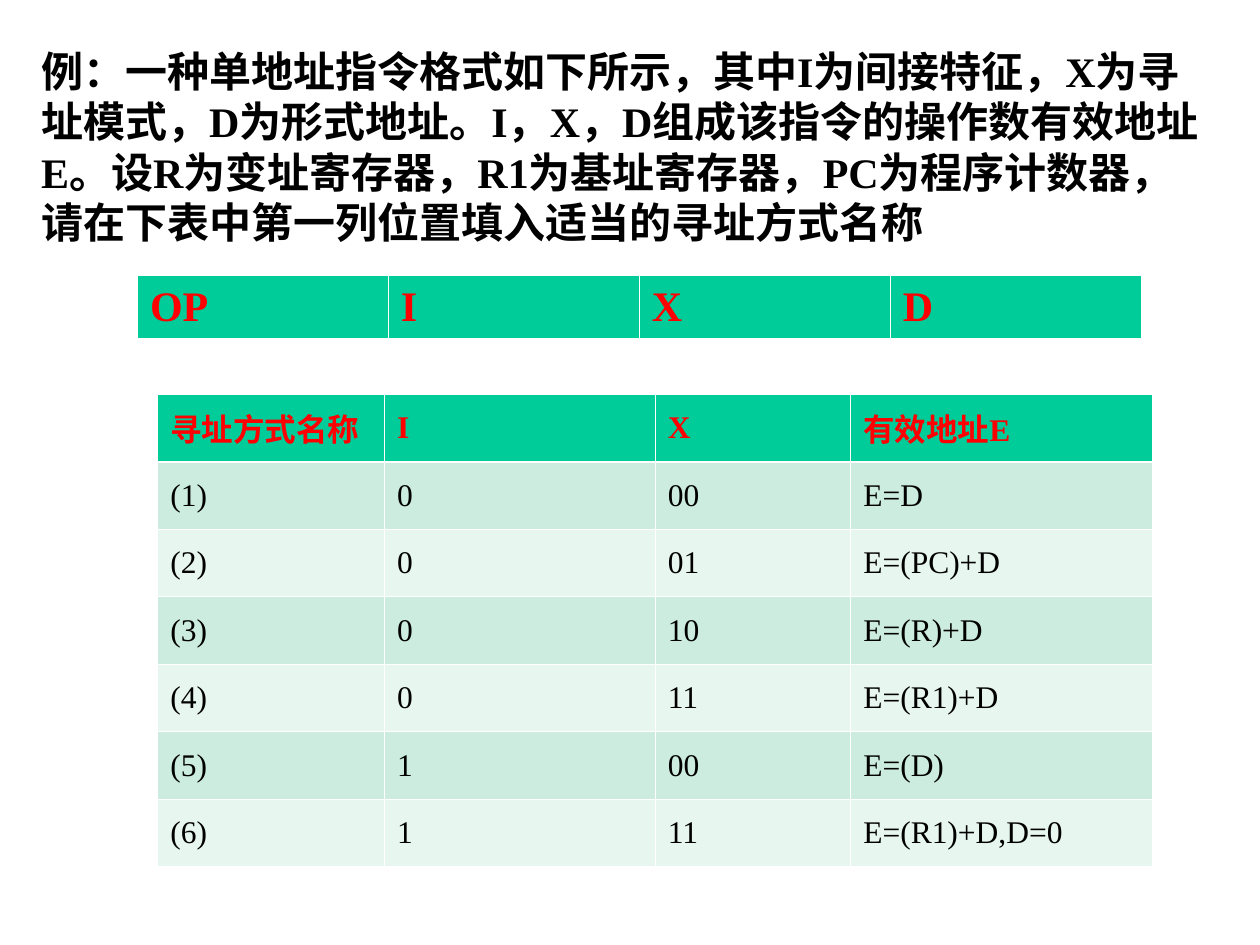
"""Build a slide on the addressing modes of a one-address instruction."""
from lxml import etree
from pptx import Presentation
from pptx.dml.color import RGBColor
from pptx.enum.text import MSO_ANCHOR
from pptx.oxml.ns import qn
from pptx.util import Cm, Pt

MIDDLE = MSO_ANCHOR.MIDDLE
BLACK = RGBColor(0x00, 0x00, 0x00)
WHITE = RGBColor(0xFF, 0xFF, 0xFF)
RED = RGBColor(0xFF, 0x00, 0x00)
GREEN = RGBColor(0x00, 0xCC, 0x99)
MINT = RGBColor(0xCB, 0xEC, 0xDE)
PALE = RGBColor(0xE7, 0xF6, 0xEF)
FONT = "Times New Roman"
THIN, THICK = Pt(0.45), Pt(1.47)

TASK = (
    "例：一种单地址指令格式如下所示，其中I为间接特征，X为寻址模式，D为形式地址。"
    "I，X，D组成该指令的操作数有效地址E。设R为变址寄存器，R1为基址寄存器，"
    "PC为程序计数器，请在下表中第一列位置填入适当的寻址方式名称"
)
FORMAT = [("OP", "I", "X", "D")]
MODES = [
    ("寻址方式名称", "I", "X", "有效地址E"),
    ("(1)", "0", "00", "E=D"),
    ("(2)", "0", "01", "E=(PC)+D"),
    ("(3)", "0", "10", "E=(R)+D"),
    ("(4)", "0", "11", "E=(R1)+D"),
    ("(5)", "1", "00", "E=(D)"),
    ("(6)", "1", "11", "E=(R1)+D,D=0"),
]


def style(frame, size, color, bold):
    for run in frame.paragraphs[0].runs:
        run.font.name = FONT
        run.font.size = Pt(size)
        run.font.bold = bold
        run.font.color.rgb = color


def border(cell, side, width):
    line = etree.SubElement(cell._tc.get_or_add_tcPr(), qn(f"a:ln{side}"), w=str(width))
    fill = etree.SubElement(line, qn("a:solidFill"))
    etree.SubElement(fill, qn("a:srgbClr"), val=str(WHITE))


deck = Presentation()
deck.slide_width, deck.slide_height = Cm(25.4), Cm(19.05)
slide = deck.slides.add_slide(deck.slide_layouts[6])

box = slide.shapes.add_textbox(Cm(0.58), Cm(0.79), Cm(24), Cm(4.32))
box.text_frame.word_wrap = True
box.text_frame.text = TASK
style(box.text_frame, 24, BLACK, True)

grids = [
    (FORMAT, 2.77, 5.56, [5.06] * 4, 1.27, 24),
    (MODES, 3.18, 7.95, [4.57, 5.46, 3.94, 6.07], 1.36, 18),
]
for data, left, top, widths, height, size in grids:
    frame = slide.shapes.add_table(
        len(data), len(widths), Cm(left), Cm(top), Cm(sum(widths)), Cm(height * len(data))
    )
    table = frame.table
    table.horz_banding = False
    for column, width in zip(table.columns, widths):
        column.width = Cm(width)
    for r, texts in enumerate(data):
        table.rows[r].height = Cm(height)
        head = r == 0
        shade = GREEN if head else MINT if r % 2 else PALE
        for c, text in enumerate(texts):
            cell = table.cell(r, c)
            cell.text = text
            cell.vertical_anchor = MIDDLE
            style(cell.text_frame, size, RED if head else BLACK, head)
            border(cell, "L", THIN)
            border(cell, "R", THIN)
            border(cell, "T", THICK if r == 1 else THIN)
            border(cell, "B", THICK if head else THIN)
            cell.fill.solid()
            cell.fill.fore_color.rgb = shade

deck.save("out.pptx")
